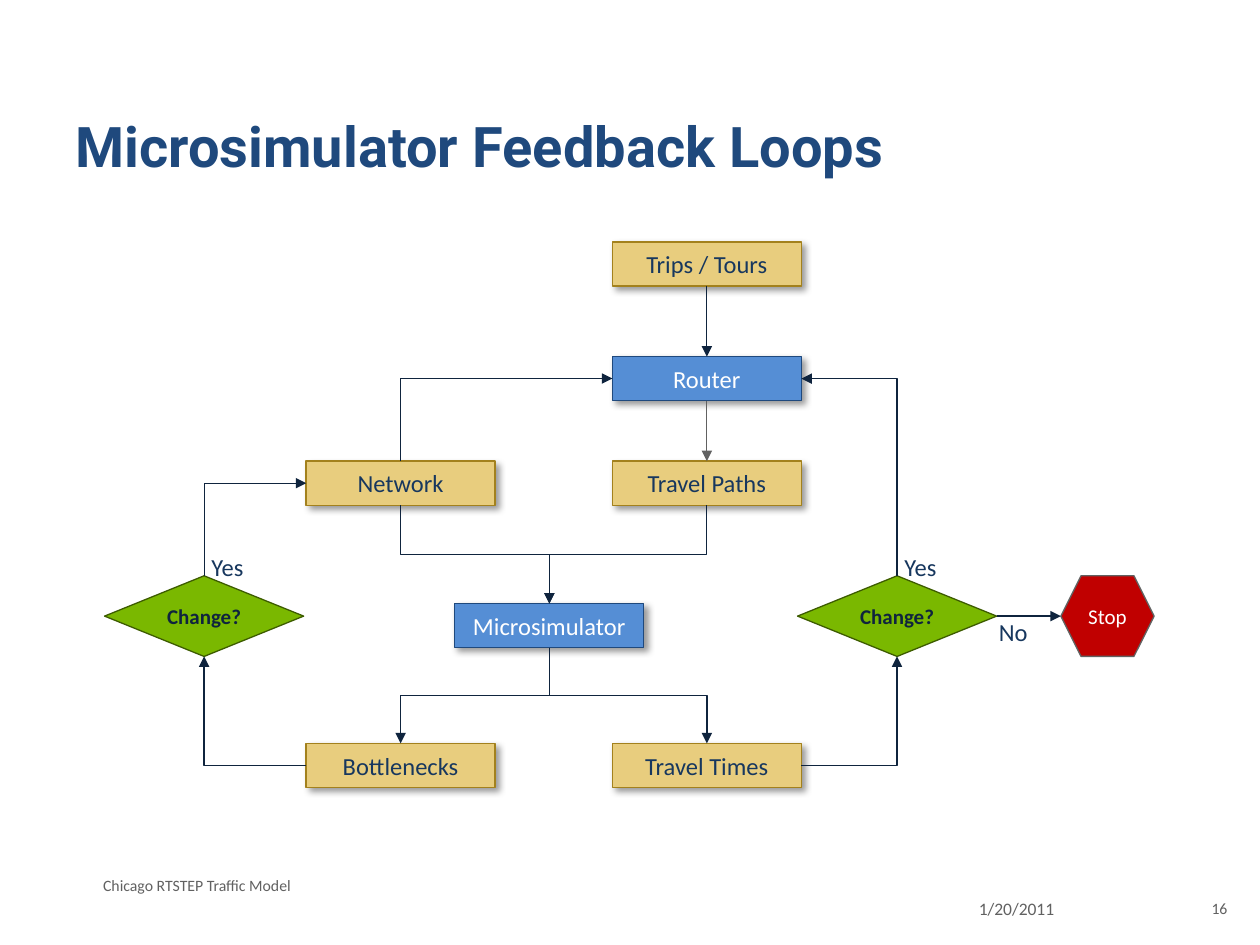
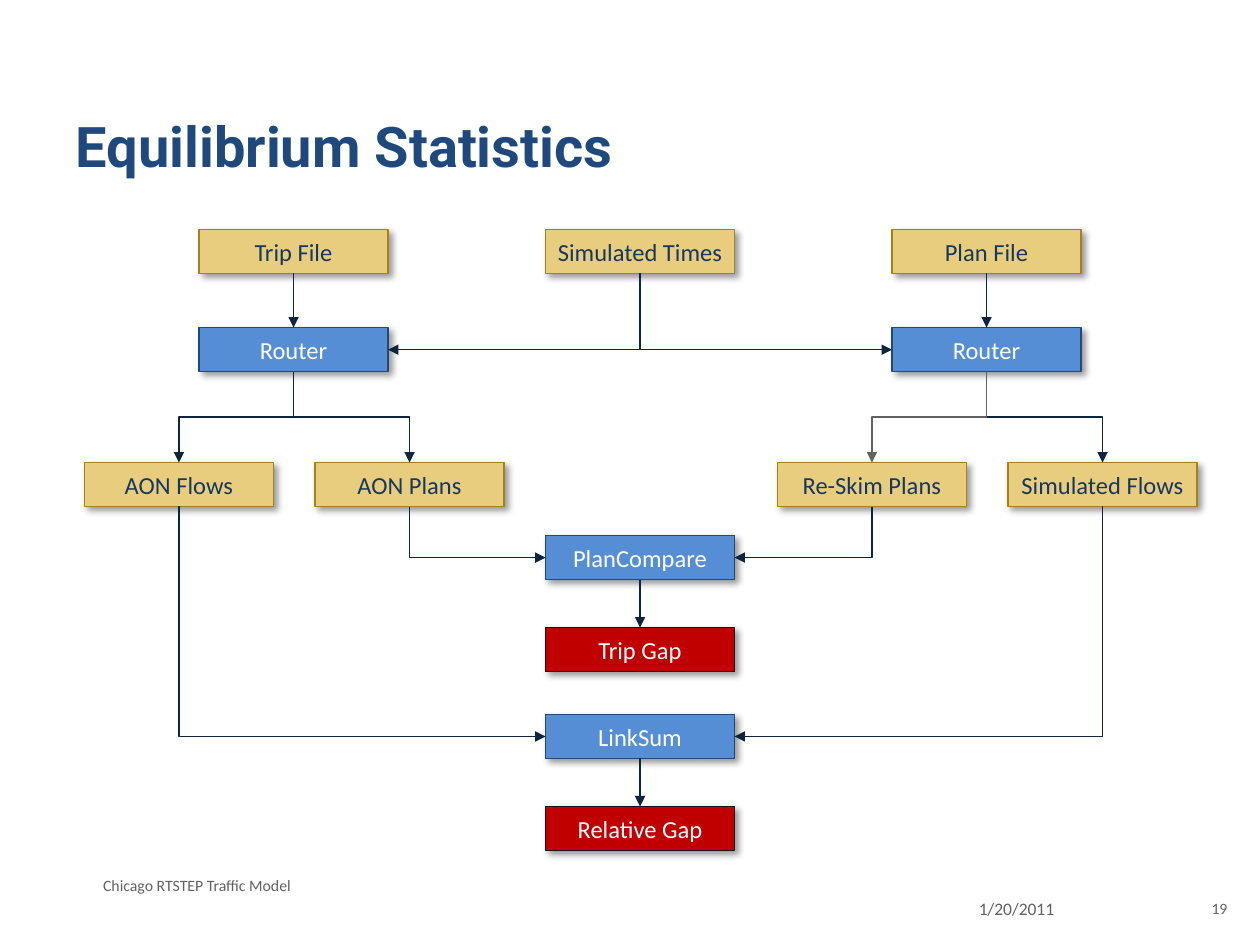
from pptx import Presentation
from pptx.dml.color import RGBColor
from pptx.enum import shapes, text
from pptx.oxml import parse_xml
from pptx.oxml.ns import nsdecls, qn
from pptx.util import Inches, Pt

COLORS = {
    "title": "1F497D", "footer": "616161", "label": "17375E", "white": "FFFFFF",
    "data": "E8CD7E", "data_line": "A3811D",
    "process": "558ED5", "process_line": "1F497D",
    "red": "C00000", "result_line": "151515",
    "decision": "7AB800", "decision_line": "3D5C00",
    "arrow": "0F243E", "gray": "616161",
}
# Fill, line and text colour of each kind of box
STYLES = {
    "data": ("data", "data_line", "label"),
    "process": ("process", "process_line", "white"),
    "result": ("red", "result_line", "white"),
    "decision": ("decision", "decision_line", "arrow"),
    "stop": ("red", "gray", "white"),
}
TOP, LEFT, BOTTOM, RIGHT = range(4)
BOX_W, BOX_H = 1.5, 0.35


def rgb(name):
    return RGBColor.from_string(COLORS[name])


def format_text(p, size, color, font="Calibri", bold=False, align=text.PP_ALIGN.LEFT):
    p.alignment = align
    p.font.name, p.font.size, p.font.bold = font, Pt(size), bold
    p.font.color.rgb = rgb(color)


def add_label(slide, words, x, y, w, h, size=14, color="label", wrap=False,
              align=text.PP_ALIGN.LEFT):
    tf = slide.shapes.add_textbox(Inches(x), Inches(y), Inches(w), Inches(h)).text_frame
    tf.word_wrap = wrap
    tf.text = words
    format_text(tf.paragraphs[0], size, color, align=align)


def new_slide(prs, title, number):
    """Add a slide with its title, date, footer and slide number."""
    slide = prs.slides.add_slide(prs.slide_layouts[5])
    sp = slide.shapes.title
    sp.left, sp.top, sp.width, sp.height = map(Inches, (0.5, 0.3, 9, 1.25))
    tf = sp.text_frame
    tf.text = title
    tf.vertical_anchor = text.MSO_ANCHOR.BOTTOM
    tf.margin_bottom = Inches(0.13)
    format_text(tf.paragraphs[0], 32, "title", "Roboto", True)
    add_label(slide, "1/20/2011", 7.67, 7.08, 1.5, 0.33, 10, "footer", True)
    add_label(slide, "Chicago RTSTEP Traffic Model", 0.72, 6.9, 6.5, 0.25, 9, "footer", True)
    add_label(slide, number, 9.42, 7.08, 0.42, 0.32, 9, "footer", True, text.PP_ALIGN.RIGHT)
    return slide


def add_node(slide, kind, words, x, y, w, h, style, size=14, bold=False):
    fill, line, color = STYLES[style]
    sp = slide.shapes.add_shape(kind, Inches(x), Inches(y), Inches(w), Inches(h))
    sp.shadow.inherit = False
    sp.fill.solid()
    sp.fill.fore_color.rgb = rgb(fill)
    sp.line.color.rgb = rgb(line)
    sp.line.width = Pt(0.75)
    tf = sp.text_frame
    tf.text = words
    tf.vertical_anchor = text.MSO_ANCHOR.MIDDLE
    format_text(tf.paragraphs[0], size, color, bold=bold, align=text.PP_ALIGN.CENTER)
    return sp


def add_box(slide, words, x, y, style="data"):
    """Add a rectangle with a soft shadow."""
    sp = add_node(slide, shapes.MSO_SHAPE.RECTANGLE, words, x, y, BOX_W, BOX_H, style)
    sp.text_frame.word_wrap = False
    sp._element.spPr.find(qn("a:effectLst")).append(parse_xml(
        f'<a:outerShdw {nsdecls("a")} blurRad="{Pt(4)}" dist="{Pt(3)}" dir="2700000" '
        'algn="tl" rotWithShape="0"><a:srgbClr val="000000"><a:alpha val="40000"/>'
        '</a:srgbClr></a:outerShdw>'))
    return sp


def add_decision(slide, x, y):
    return add_node(slide, shapes.MSO_SHAPE.FLOWCHART_DECISION, "Change?", x, y,
                    1.58, 0.64, "decision", 12, True)


def style_arrow(c, color):
    c.line.color.rgb = rgb(color)
    c.line.width = Pt(0.75)
    c.line._get_or_add_ln().append(parse_xml(f'<a:tailEnd {nsdecls("a")} type="triangle"/>'))
    c._element.spPr.append(parse_xml(f'<a:effectLst {nsdecls("a")}/>'))


def turn_upright(c):
    """Turn an elbow connector so that it leaves its start vertically."""
    dx, dy = c.end_x - c.begin_x, c.end_y - c.begin_y
    mid_x, mid_y = (c.begin_x + c.end_x) // 2, (c.begin_y + c.end_y) // 2
    c.width, c.height = abs(dy), abs(dx)
    c.left, c.top = mid_x - c.width // 2, mid_y - c.height // 2
    c.rotation = 90 if dx * dy < 0 else 270
    xfrm = c._element.spPr.xfrm
    xfrm.flipH, xfrm.flipV = dx > 0, dy < 0


def connect(slide, start, start_side, end, end_side, color="arrow"):
    """Join two shapes: straight when aligned, otherwise with one or two bends."""
    c = slide.shapes.add_connector(shapes.MSO_CONNECTOR.ELBOW, 0, 0, 0, 0)
    c.begin_connect(start, start_side)
    c.end_connect(end, end_side)
    geometry = c._element.spPr.prstGeom
    if abs(c.end_x - c.begin_x) < Inches(0.01):
        geometry.set("prst", "line")
    else:
        if (start_side - end_side) % 2:
            geometry.set("prst", "bentConnector2")
        if start_side in (TOP, BOTTOM):
            turn_upright(c)
    style_arrow(c, color)


def feedback_slide(prs):
    slide = new_slide(prs, "Microsimulator Feedback Loops", "16")
    left, right = 2.43, 4.86
    trips = add_box(slide, "Trips / Tours", right, 1.92)
    router = add_box(slide, "Router", right, 2.83, "process")
    network = add_box(slide, "Network", left, 3.66)
    paths = add_box(slide, "Travel Paths", right, 3.66)
    simulator = add_box(slide, "Microsimulator", 3.61, 4.79, "process")
    bottlenecks = add_box(slide, "Bottlenecks", left, 5.9)
    times = add_box(slide, "Travel Times", right, 5.9)
    network_change = add_decision(slide, 0.83, 4.57)
    times_change = add_decision(slide, 6.33, 4.57)
    stop = add_node(slide, shapes.MSO_SHAPE.HEXAGON, "Stop", 8.42, 4.57, 0.74, 0.64, "stop", 12)

    connect(slide, trips, BOTTOM, router, TOP)
    connect(slide, router, BOTTOM, paths, TOP, "gray")
    for source in (network, paths):
        connect(slide, source, BOTTOM, simulator, TOP)
    for target in (bottlenecks, times):
        connect(slide, simulator, BOTTOM, target, TOP)
    connect(slide, bottlenecks, LEFT, network_change, BOTTOM)
    connect(slide, network_change, TOP, network, LEFT)
    connect(slide, network, TOP, router, LEFT)
    connect(slide, times, RIGHT, times_change, BOTTOM)
    connect(slide, times_change, TOP, router, RIGHT)

    middle = stop.top + stop.height // 2
    c = slide.shapes.add_connector(shapes.MSO_CONNECTOR.STRAIGHT, 0, middle, stop.left, middle)
    c.begin_connect(times_change, RIGHT)
    style_arrow(c, "arrow")

    add_label(slide, "No", 7.83, 4.85, 0.44, 0.34)
    for x in (1.58, 7.08):
        add_label(slide, "Yes", x, 4.33, 0.46, 0.34)


def statistics_slide(prs):
    slide = new_slide(prs, "Equilibrium Statistics", "19")
    columns = (0.67, 2.5, 4.33, 6.17, 8)
    center = columns[2]
    files_y, routers_y, outputs_y = 1.82, 2.6, 3.67
    trip_x, plan_x = 1.58, 7.08

    trip_file = add_box(slide, "Trip File", trip_x, files_y)
    sim_times = add_box(slide, "Simulated Times", center, files_y)
    plan_file = add_box(slide, "Plan File", plan_x, files_y)
    trip_router = add_box(slide, "Router", trip_x, routers_y, "process")
    plan_router = add_box(slide, "Router", plan_x, routers_y, "process")
    aon_flows, aon_plans, skim_plans, sim_flows = [
        add_box(slide, words, x, outputs_y) for words, x in zip(
            ("AON Flows", "AON Plans", "Re-Skim Plans", "Simulated Flows"),
            columns[:2] + columns[3:])]
    plan_compare = add_box(slide, "PlanCompare", center, 4.25, "process")
    trip_gap = add_box(slide, "Trip Gap", center, 4.98, "result")
    link_sum = add_box(slide, "LinkSum", center, 5.67, "process")
    relative_gap = add_box(slide, "Relative Gap", center, 6.4, "result")

    for upper, lower in ((trip_file, trip_router), (plan_file, plan_router),
                         (trip_router, aon_flows), (trip_router, aon_plans),
                         (plan_router, sim_flows),
                         (plan_compare, trip_gap), (link_sum, relative_gap)):
        connect(slide, upper, BOTTOM, lower, TOP)
    connect(slide, plan_router, BOTTOM, skim_plans, TOP, "gray")
    for source, target, side in ((sim_times, trip_router, RIGHT), (sim_times, plan_router, LEFT),
                                 (aon_plans, plan_compare, LEFT),
                                 (skim_plans, plan_compare, RIGHT),
                                 (aon_flows, link_sum, LEFT), (sim_flows, link_sum, RIGHT)):
        connect(slide, source, BOTTOM, target, side)


def main():
    prs = Presentation()
    prs.slide_width, prs.slide_height = Inches(10), Inches(7.5)
    feedback_slide(prs)
    statistics_slide(prs)
    prs.save("out.pptx")


if __name__ == "__main__":
    main()
